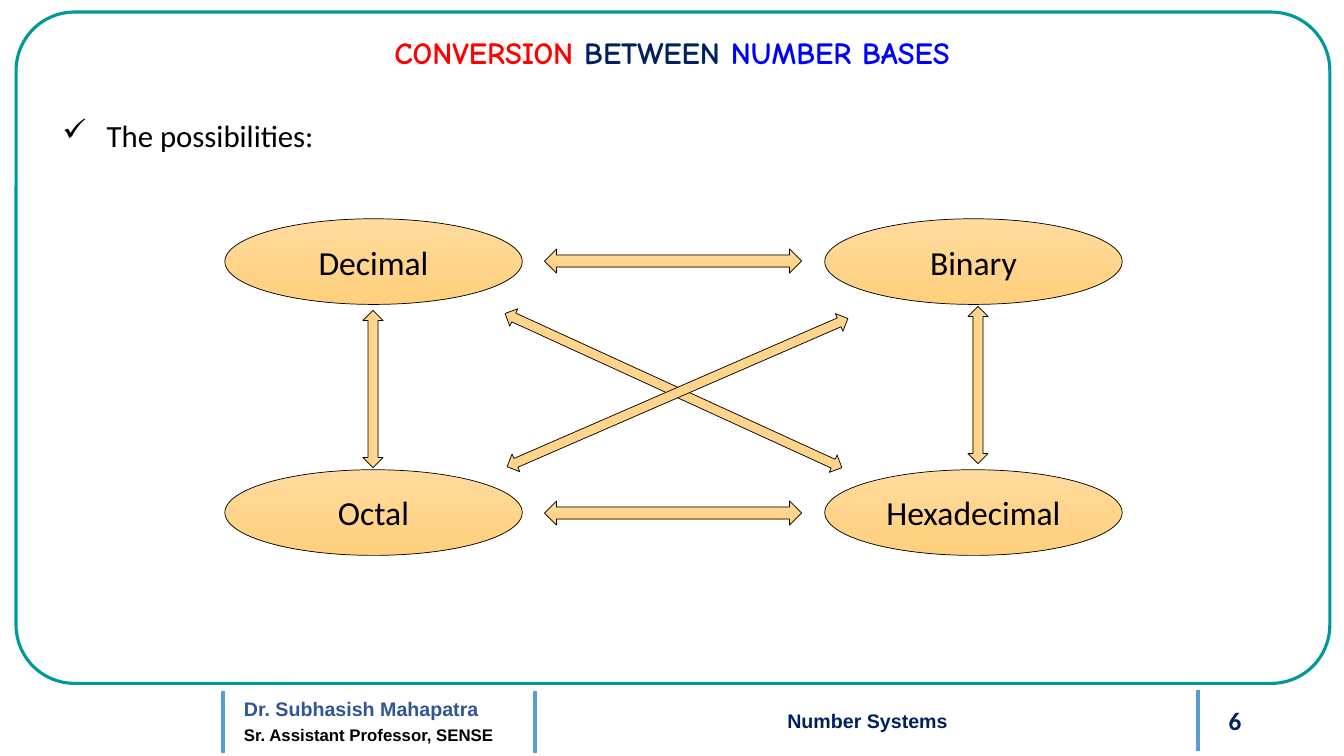
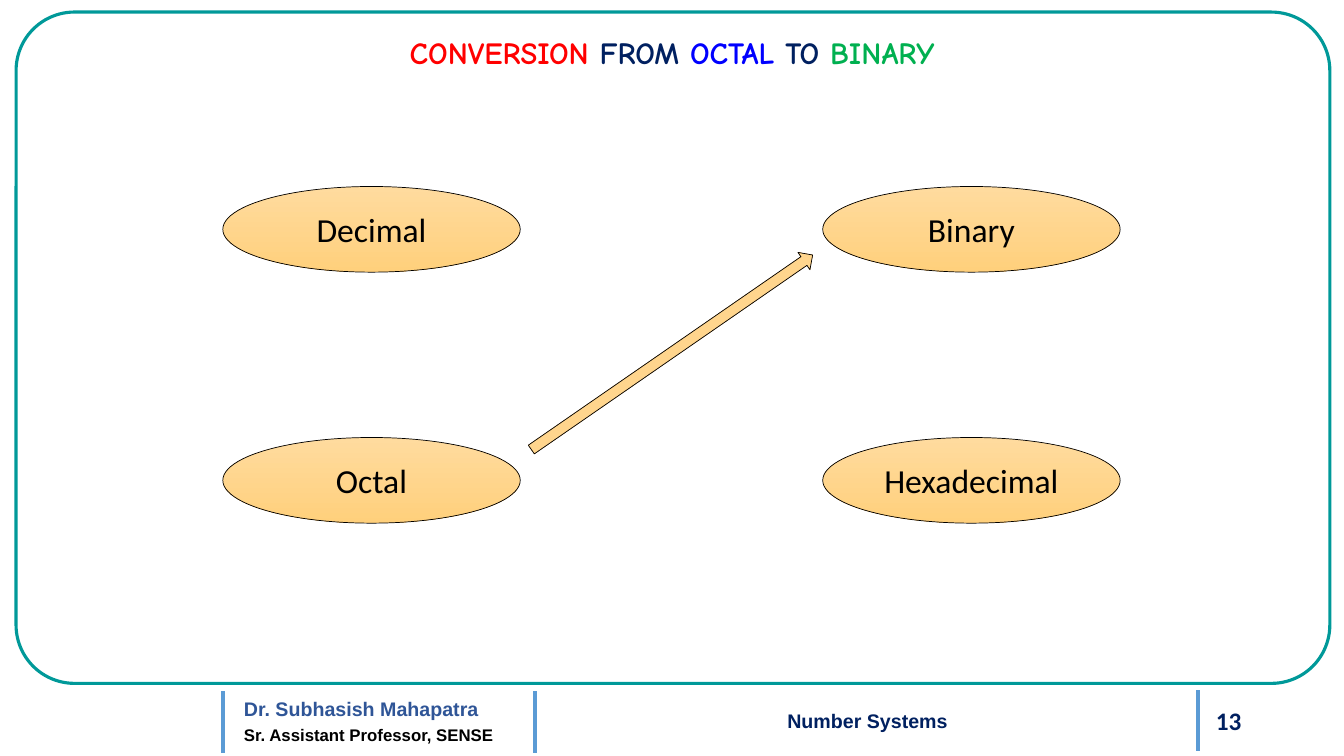
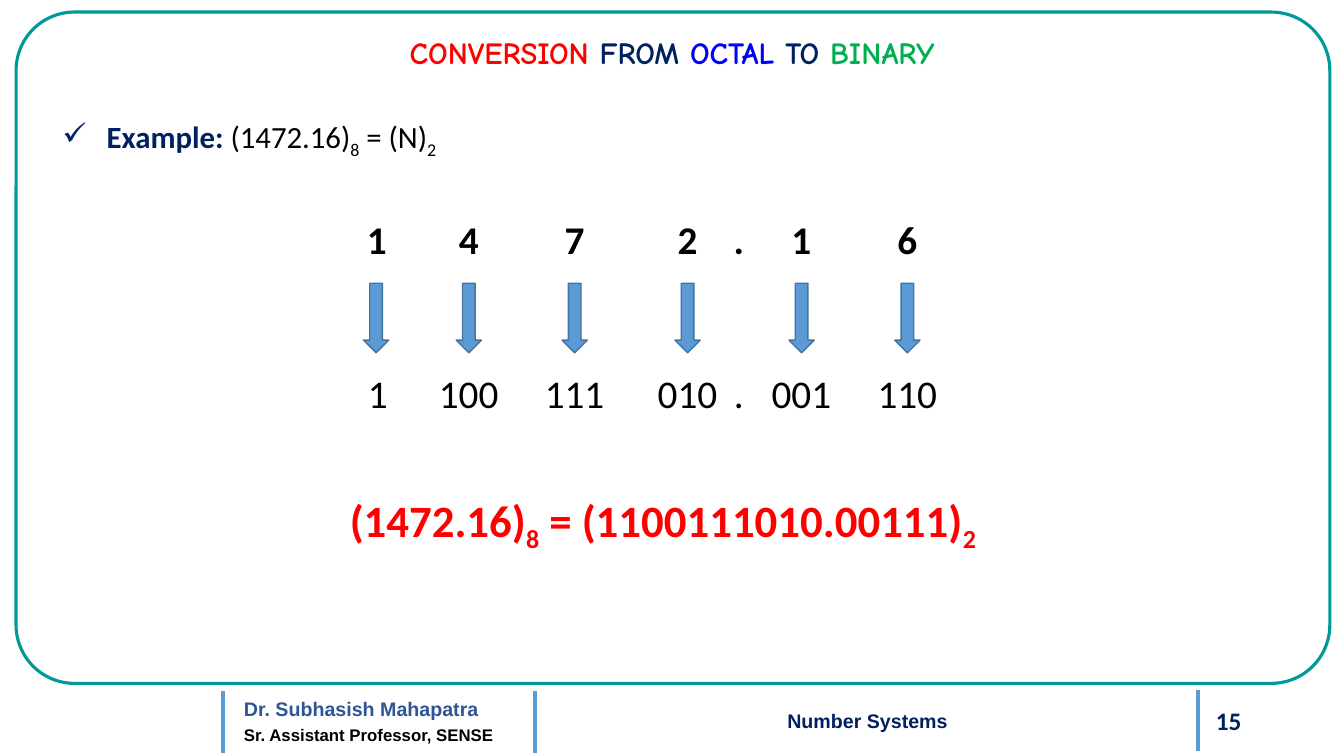
"""Build three slides on converting between number bases."""
from math import atan2, degrees, hypot

from lxml.etree import SubElement
from pptx import Presentation
from pptx.dml.color import RGBColor
from pptx.enum.shapes import MSO_CONNECTOR, MSO_SHAPE
from pptx.enum.text import MSO_ANCHOR, PP_ALIGN
from pptx.oxml.ns import qn
from pptx.util import Inches, Pt

COLORS = {
    "white": "FFFFFF", "black": "000000", "teal": "009999", "navy": "002060",
    "author": "2F5597", "rule": "5B9BD5", "edge": "43739E", "red": "FF0000",
    "blue": "0000FF", "green": "00B050", "amber_top": "FFDB9E", "amber_bottom": "FFD07C",
}

AUTHOR = [("Dr. Subhasish Mahapatra", 14, "author"), ("Sr. Assistant Professor, SENSE", 12, "black")]
TOPIC = "Number Systems"
FOOTER_RULES = [(2.21, 6.86, 7.47), (5.31, 6.86, 7.47), (11.88, 6.85, 7.45)]

BASES_TITLE = [("CONVERSION", "red"), (" BETWEEN ", "navy"), ("NUMBER BASES", "blue")]
OCTAL_TITLE = [("CONVERSION", "red"), (" FROM ", "navy"), ("OCTAL", "blue"),
               (" TO ", "navy"), ("BINARY", "green")]

BASES = [["Decimal", "Binary"], ["Octal", "Hexadecimal"]]
OVAL_SIZE = (2.95, 0.85)
OVAL_STEP = (5.95, 2.49)

ALL_CONVERSIONS = [
    ((5.4, 2.59), (7.95, 2.59), 0.24),
    ((3.7, 3.08), (3.7, 4.64), 0.2),
    ((9.7, 3.04), (9.7, 4.6), 0.2),
    ((5.01, 3.11), (8.35, 4.64), 0.19),
    ((5.4, 5.09), (7.95, 5.09), 0.24),
    ((5.03, 4.63), (8.41, 3.16), 0.19),
]
OCTAL_TO_BINARY = ((5.27, 4.46), (8.06, 2.53), 0.21)

DIGITS = [("1", "1", 3.73), ("4", "100", 4.65), ("7", "111", 5.7), ("2", "010", 6.82),
          (".", ".", 7.33), ("1", "001", 7.95), ("6", "110", 9.0)]
DIGIT_ROWS = [(0, 3.54, 2.09, 6.08, True), (1, 3.55, 3.61, 6.25, False)]
DIGIT_ARROW = (0.25, 0.69)
EXAMPLE = [("Example: ", "navy", True, False), ("(1472.16)", "black", False, False),
           ("8", "black", False, True), (" = (N)", "black", False, False),
           ("2", "black", False, True)]
RESULT = [("(1472.16)", False), ("8", True), (" = (1100111010.00111)", False), ("2", True)]


def rgb(name):
    return RGBColor.from_string(COLORS[name])


def add_span(para, text, size, color, bold=False, font="Calibri", subscript=False):
    span = para.add_run()
    span.text = text
    span.font.size = Pt(size)
    span.font.name = font
    span.font.bold = bold
    span.font.color.rgb = rgb(color)
    if subscript:
        span.font._element.set("baseline", "-25000")


def add_box(page, left, top, width, height, align=PP_ALIGN.LEFT):
    box = page.shapes.add_textbox(Inches(left), Inches(top), Inches(width), Inches(height))
    box.text_frame.word_wrap = True
    para = box.text_frame.paragraphs[0]
    para.alignment = align
    return box.text_frame, para


def add_figure(page, kind, left, top, width, height, fill, line, line_width):
    shape = page.shapes.add_shape(kind, Inches(left), Inches(top), Inches(width), Inches(height))
    shape.shadow.inherit = False
    if fill == "amber":
        shape.fill.gradient()
        shape.fill.gradient_angle = 270
        for stop, color in zip(shape.fill.gradient_stops, ("amber_top", "amber_bottom")):
            stop.color.rgb = rgb(color)
    else:
        shape.fill.solid()
        shape.fill.fore_color.rgb = rgb(fill)
    shape.line.color.rgb = rgb(line)
    shape.line.width = Pt(line_width)
    return shape


def add_page(deck, title, number):
    page = deck.slides.add_slide(deck.slide_layouts[6])
    frame = add_figure(page, MSO_SHAPE.ROUNDED_RECTANGLE, 0.16, 0.12, 13.03, 6.66, "white", "teal", 2.25)
    frame.adjustments[0] = 0.087

    text, para = add_box(page, 2.32, 6.82, 3.35, 0.63)
    for index, (line, size, color) in enumerate(AUTHOR):
        para = text.add_paragraph() if index else para
        para.alignment = PP_ALIGN.JUSTIFY
        para.line_spacing = 1.2
        add_span(para, line, size, color, True, "Arial")
    text, para = add_box(page, 11.04, 6.95, 1.37, 0.4, PP_ALIGN.RIGHT)
    text.vertical_anchor = MSO_ANCHOR.MIDDLE
    add_span(para, str(number), 18, "navy", True)
    text, para = add_box(page, 5.96, 6.98, 5.29, 0.34, PP_ALIGN.CENTER)
    add_span(para, TOPIC, 14, "navy", True, "Arial")

    for x, top, bottom in FOOTER_RULES:
        rule = page.shapes.add_connector(MSO_CONNECTOR.STRAIGHT, Inches(x), Inches(top), Inches(x), Inches(bottom))
        rule.line.color.rgb = rgb("rule")
        rule.line.width = Pt(3)
        SubElement(rule._element.spPr, qn("a:effectLst"))

    text, para = add_box(page, 0.52, 0.29, 12.29, 0.47, PP_ALIGN.CENTER)
    for words, color in title:
        add_span(para, words, 22, color, True, "Comic Neue")
    return page


def add_check_item(page, spans, height):
    text, para = add_box(page, 0.52, 1.04, 12.29, height)
    para.line_spacing = 1.2
    para.space_after = Pt(6)
    properties = para._p.get_or_add_pPr()
    properties.set("marL", str(Inches(0.44)))
    properties.set("indent", str(-Inches(0.44)))
    SubElement(properties, qn("a:buChar"), char="✓")
    for words, color, bold, subscript in spans:
        add_span(para, words, 22, color, bold, subscript=subscript)


def add_bases(page, left, top):
    for row, names in enumerate(BASES):
        for column, name in enumerate(names):
            oval = add_figure(page, MSO_SHAPE.OVAL, left + column * OVAL_STEP[0], top + row * OVAL_STEP[1],
                              *OVAL_SIZE, "amber", "black", 0.5)
            oval.text_frame.vertical_anchor = MSO_ANCHOR.MIDDLE
            para = oval.text_frame.paragraphs[0]
            para.alignment = PP_ALIGN.CENTER
            add_span(para, name, 24, "black")


def add_arrow(page, kind, start, end, thickness):
    across, down = end[0] - start[0], end[1] - start[1]
    length = hypot(across, down)
    left = (start[0] + end[0] - length) / 2
    top = (start[1] + end[1] - thickness) / 2
    arrow = add_figure(page, kind, left, top, length, thickness, "amber", "black", 0.5)
    arrow.rotation = degrees(atan2(down, across))


def add_digit_row(page, part, left, top, width, bold):
    text, para = add_box(page, left, top, width, 0.57)
    stops = SubElement(para._p.get_or_add_pPr(), qn("a:tabLst"))
    for column in DIGITS[1:]:
        position = Inches(column[2] - left - 0.1)
        SubElement(stops, qn("a:tab"), pos=str(position), algn="ctr")
    add_span(para, "\t".join(column[part] for column in DIGITS), 28, "black", bold)


def main():
    deck = Presentation()
    deck.slide_width, deck.slide_height = Inches(13.33), Inches(7.5)

    page = add_page(deck, BASES_TITLE, 6)
    add_check_item(page, [("The possibilities:", "black", False, False)], 0.52)
    add_bases(page, 2.23, 2.17)
    for conversion in ALL_CONVERSIONS:
        add_arrow(page, MSO_SHAPE.LEFT_RIGHT_ARROW, *conversion)

    page = add_page(deck, OCTAL_TITLE, 13)
    add_bases(page, 2.21, 1.85)
    add_arrow(page, MSO_SHAPE.RIGHT_ARROW, *OCTAL_TO_BINARY)

    page = add_page(deck, OCTAL_TITLE, 15)
    add_check_item(page, EXAMPLE, 0.96)
    text, para = add_box(page, 3.06, 4.84, 7.03, 0.64, PP_ALIGN.CENTER)
    for words, subscript in RESULT:
        add_span(para, words, 32, "red", True, subscript=subscript)
    for row in DIGIT_ROWS:
        add_digit_row(page, *row)
    for digit, group, center in DIGITS:
        if digit != ".":
            add_figure(page, MSO_SHAPE.DOWN_ARROW, center - DIGIT_ARROW[0] / 2, 2.81,
                       *DIGIT_ARROW, "rule", "edge", 1)

    deck.save("out.pptx")


if __name__ == "__main__":
    main()
